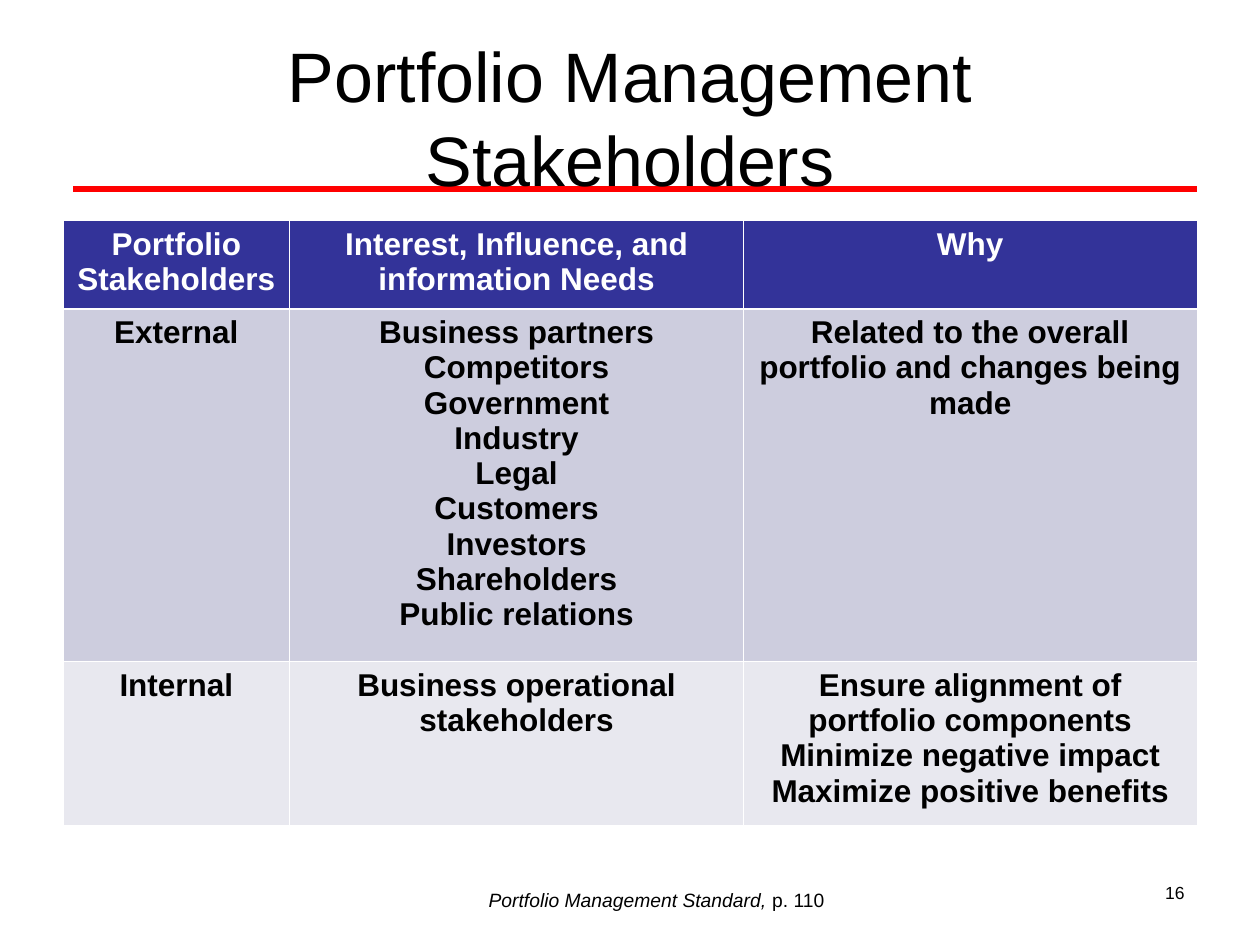
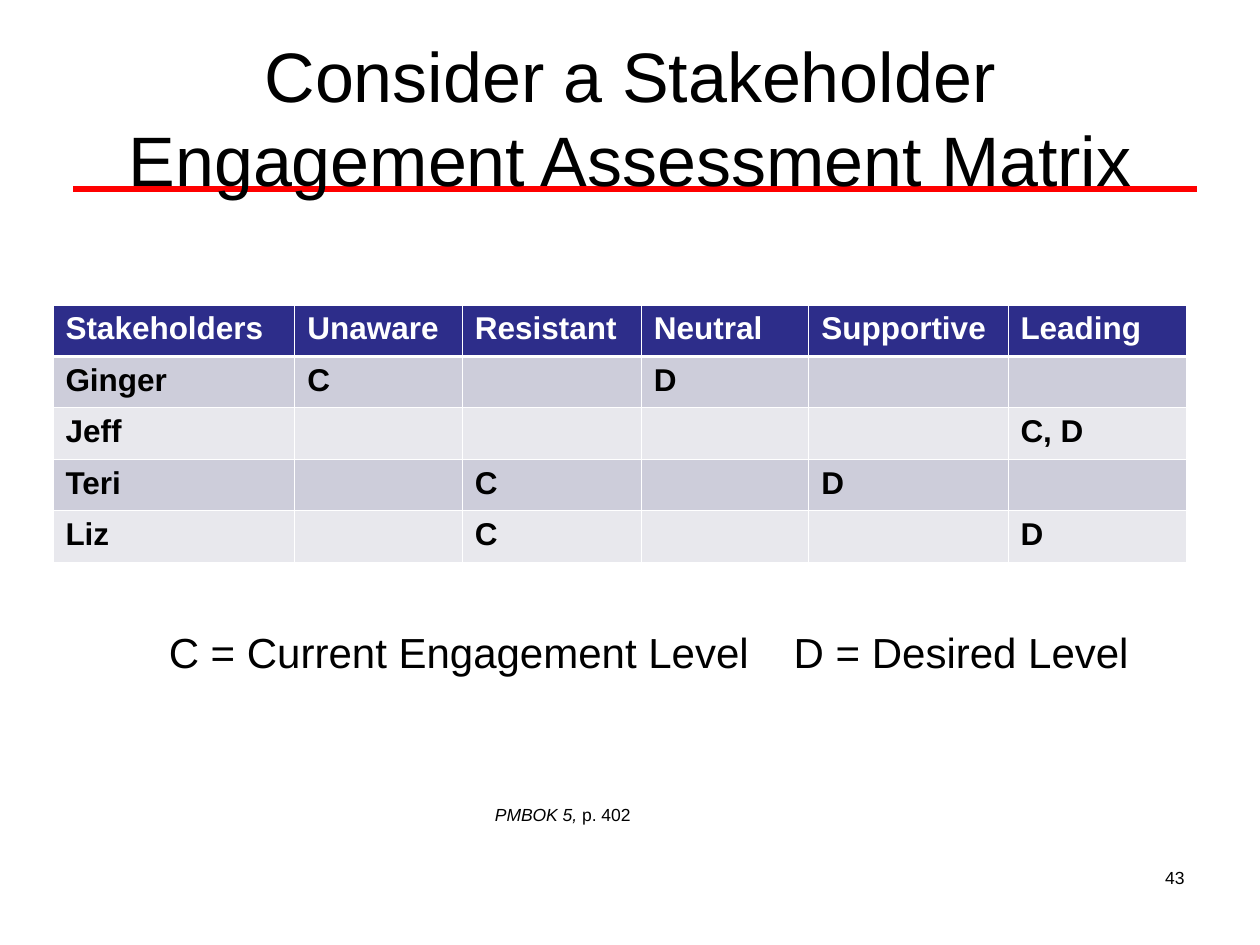
"""Build two stakeholder slides, each with a ruled title, a table, a citation and a page number."""
import dataclasses

import lxml.etree
import pptx
import pptx.dml.color
import pptx.enum.shapes
import pptx.enum.text
import pptx.oxml.ns
import pptx.util

PX = 9144
ALIGN = pptx.enum.text.PP_ALIGN
rgb = pptx.dml.color.RGBColor.from_string
qn = pptx.oxml.ns.qn


@dataclasses.dataclass(frozen=True)
class Theme:
    font: str = "Arial"
    ink: str = "000000"
    paper: str = "FFFFFF"
    rule: str = "FF0000"
    rule_width: float = 3
    title: int = 40
    title_leading: int = 48
    table: int = 18
    legend: int = 24
    page: int = 10
    thin: float = 0.45
    thick: float = 1.47


theme = Theme()


def write(frame, text, *, size, color=theme.ink, bold=False, align=ALIGN.LEFT, cited="", leading=None):
    """Fill a text frame, one paragraph a line, after an optional italic work title."""
    for number, line in enumerate(text.split("\n")):
        paragraph = frame.paragraphs[0] if number == 0 else frame.add_paragraph()
        paragraph.alignment = align
        if leading:
            paragraph.line_spacing = pptx.util.Pt(leading)
        for words, italic in ((cited, True), (line, False)):
            if words:
                run = paragraph.add_run()
                run.text = words
                run.font.name = theme.font
                run.font.size = pptx.util.Pt(size)
                run.font.bold = bold
                run.font.italic = italic
                run.font.color.rgb = rgb(color)


def add_box(slide, area, wrap=True):
    """Add an empty text box and return its frame."""
    frame = slide.shapes.add_textbox(*(n * PX for n in area)).text_frame
    frame.word_wrap = wrap
    return frame


pages = [
    dict(
        title="Portfolio Management Stakeholders",
        table_at=(50, 175), columns=[180, 360, 360], heights=[70, 280, 130],
        fills=["333399", "CDCDDE", "E8E8EF"], align=ALIGN.CENTER,
        rows=[
            ["Portfolio Stakeholders", "Interest, Influence, and information Needs", "Why"],
            ["External",
             "Business partners\nCompetitors\nGovernment\nIndustry\nLegal\n"
             "Customers\nInvestors\nShareholders\nPublic relations",
             "Related to the overall portfolio and changes being made"],
            ["Internal", "Business operational stakeholders",
             "Ensure alignment of portfolio components\n"
             "Minimize negative impact\nMaximize positive benefits"],
        ],
        number="16", number_at=(717, 695, 233, 40),
        work="Portfolio Management Standard, ", place="p. 110",
        citation_at=(378, 700, 287, 29), citation_size=11, citation_wrap=False,
    ),
    dict(
        title="Consider a Stakeholder Engagement Assessment Matrix",
        table_at=(42, 242), columns=[192, 133, 142, 133, 158, 142], heights=[41, 40, 41, 40, 41],
        fills=["2D2D8A", "CDCDDA", "E8E8ED"], align=ALIGN.LEFT,
        rows=[
            ["Stakeholders", "Unaware", "Resistant", "Neutral", "Supportive", "Leading"],
            ["Ginger", "C", "", "D", "", ""],
            ["Jeff", "", "", "", "", "C, D"],
            ["Teri", "", "C", "", "D", ""],
            ["Liz", "", "C", "", "", "D"],
        ],
        number="43", number_at=(717, 683, 233, 52),
        work="PMBOK 5, ", place="p. 402",
        citation_at=(383, 633, 317, 27), citation_size=10, citation_wrap=True,
    ),
]

deck = pptx.Presentation()
deck.slide_width, deck.slide_height = 1000 * PX, 750 * PX

for page in pages:
    slide = deck.slides.add_slide(deck.slide_layouts[5])

    heading = slide.shapes.title
    heading.left, heading.top, heading.width, heading.height = (n * PX for n in (50, 30, 900, 125))
    heading.text_frame.auto_size = pptx.enum.text.MSO_AUTO_SIZE.NONE
    heading.text_frame.vertical_anchor = pptx.enum.text.MSO_ANCHOR.MIDDLE
    write(heading.text_frame, page["title"], size=theme.title, align=ALIGN.CENTER,
          leading=theme.title_leading)

    rule = slide.shapes.add_connector(
        pptx.enum.shapes.MSO_CONNECTOR.STRAIGHT, 58 * PX, 150 * PX, 950 * PX, 150 * PX)
    rule.line.color.rgb = rgb(theme.rule)
    rule.line.width = pptx.util.Pt(theme.rule_width)
    lxml.etree.SubElement(rule.element.spPr, qn("a:effectLst"))
    heading.element.addprevious(rule.element)

    left, top = page["table_at"]
    columns, heights, rows = page["columns"], page["heights"], page["rows"]
    stakeholders = slide.shapes.add_table(
        len(rows), len(columns), left * PX, top * PX, sum(columns) * PX, sum(heights) * PX).table
    for column, width in zip(stakeholders.columns, columns):
        column.width = width * PX
    for r, entries in enumerate(rows):
        stakeholders.rows[r].height = heights[r] * PX
        header_fill, *band_fills = page["fills"]
        fill = band_fills[(r - 1) % 2] if r else header_fill
        for c, entry in enumerate(entries):
            cell = stakeholders.cell(r, c)
            properties = cell._tc.get_or_add_tcPr()
            for side in ("lnL", "lnR", "lnT", "lnB"):
                under_header = (r, side) in ((0, "lnB"), (1, "lnT"))
                weight = theme.thick if under_header else theme.thin
                border = lxml.etree.SubElement(
                    properties, qn(f"a:{side}"), w=str(int(pptx.util.Pt(weight))))
                paint = lxml.etree.SubElement(border, qn("a:solidFill"))
                lxml.etree.SubElement(paint, qn("a:srgbClr"), val=theme.paper)
            cell.fill.solid()
            cell.fill.fore_color.rgb = rgb(fill)
            write(cell.text_frame, entry, size=theme.table, bold=True, align=page["align"],
                  color=theme.ink if r else theme.paper)

    write(add_box(slide, page["number_at"]), page["number"], size=theme.page, align=ALIGN.RIGHT)
    write(add_box(slide, page["citation_at"], page["citation_wrap"]), page["place"],
          size=page["citation_size"], cited=page["work"])

legend = add_box(slide, (108, 492, 817, 50))
legend.margin_left = 26 * PX
tab_stops = lxml.etree.SubElement(legend.paragraphs[0]._p.get_or_add_pPr(), qn("a:tabLst"))
lxml.etree.SubElement(tab_stops, qn("a:tab"), pos=str(496 * PX), algn="l")
write(legend, "C = Current Engagement Level\tD = Desired Level", size=theme.legend)

deck.save("out.pptx")
